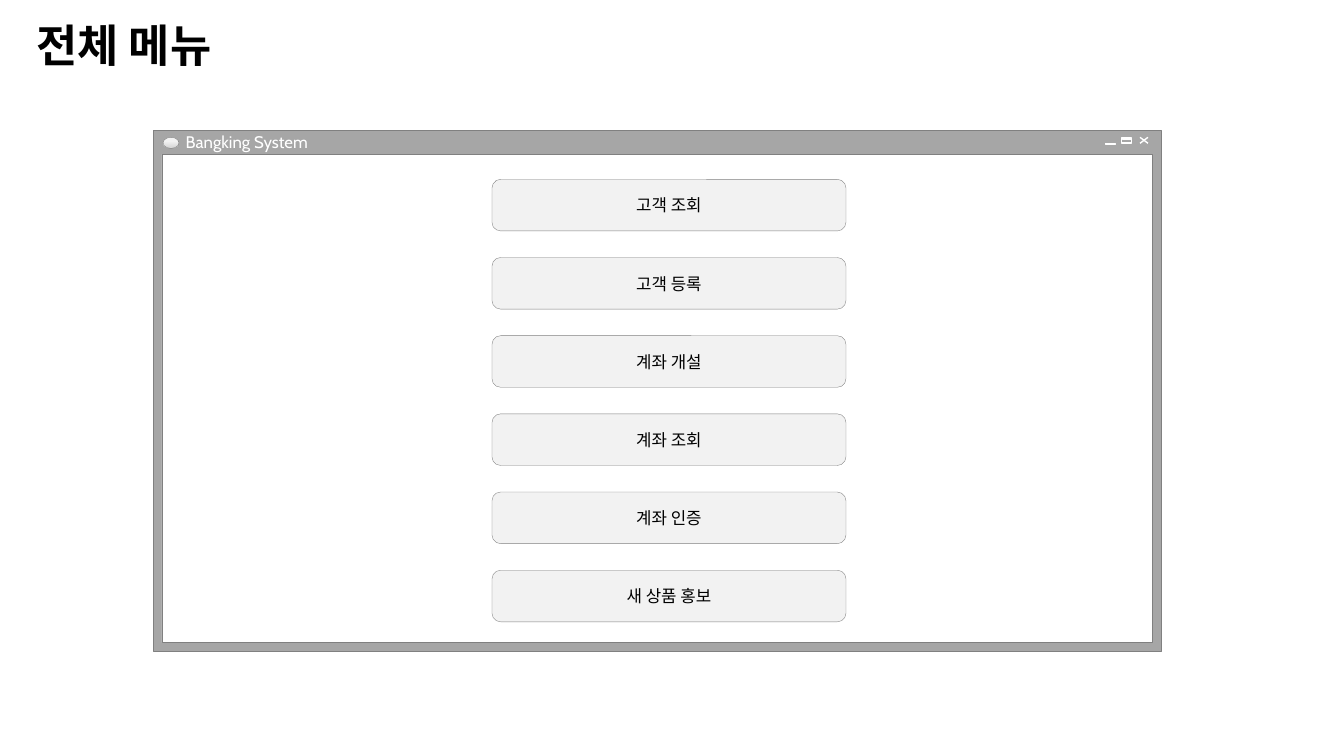
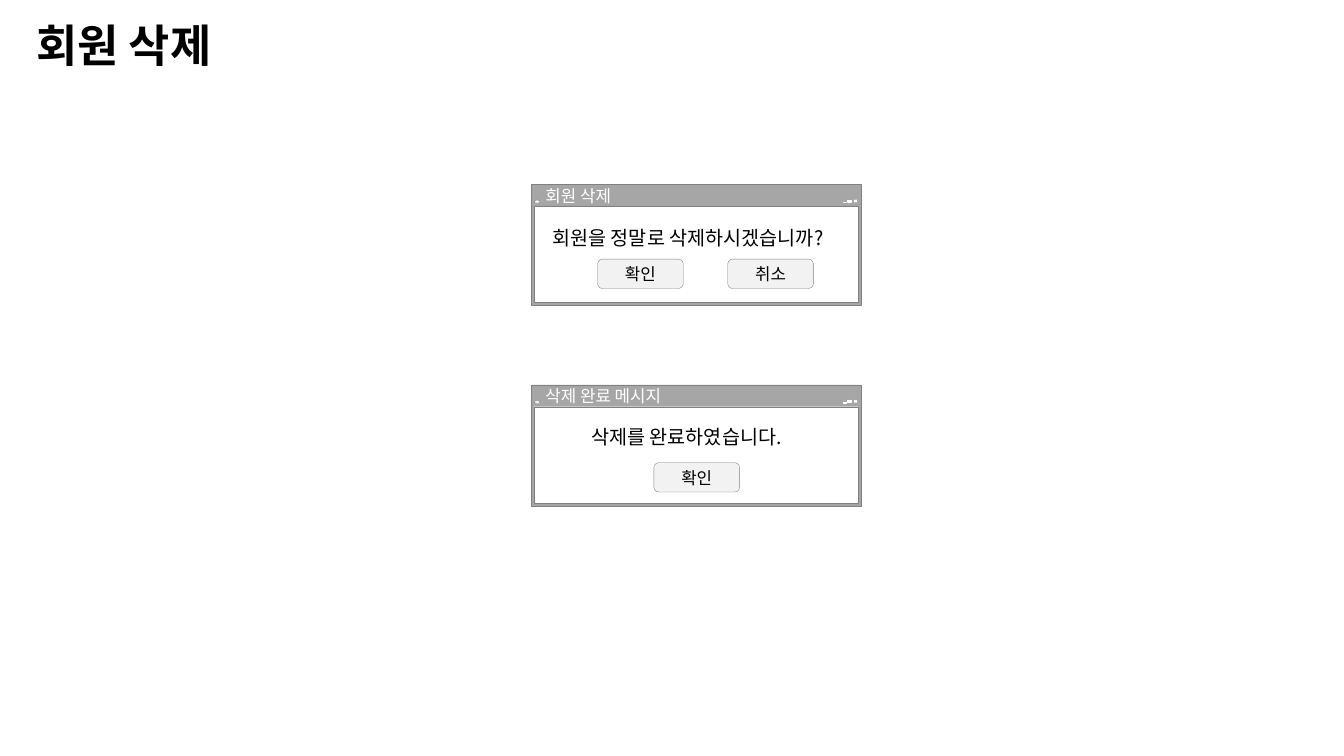
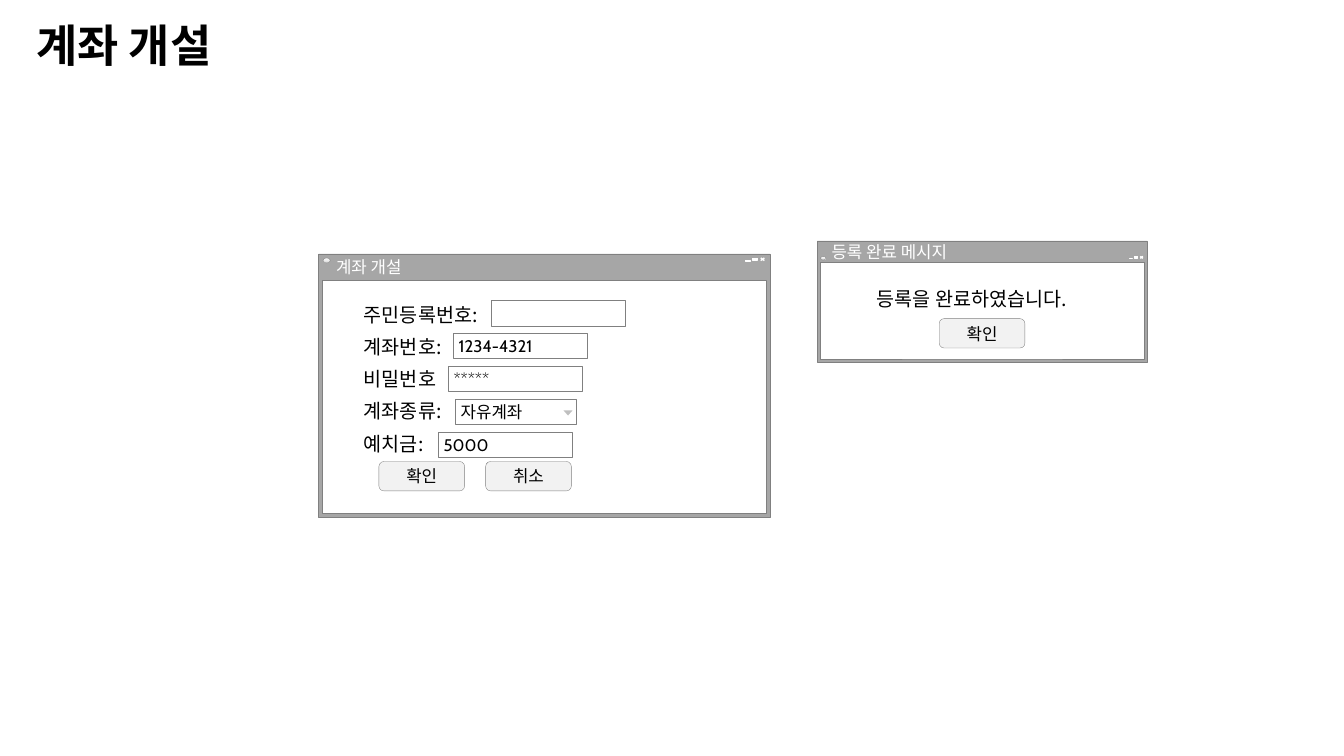
from lxml.etree import SubElement
from pptx import Presentation
from pptx.dml.color import RGBColor
from pptx.enum.shapes import MSO_CONNECTOR, MSO_SHAPE as SHAPE
from pptx.enum.text import MSO_ANCHOR as ANCHOR, MSO_AUTO_SIZE, PP_ALIGN as ALIGN
from pptx.oxml.ns import qn
from pptx.util import Cm, Pt

rgb = RGBColor.from_string
HANGUL, LATIN = "Noto Sans CJK KR", "Cabin"
BLACK, WHITE = "000000", "FFFFFF"
FRAME, OUTLINE, PALE, SHADE = "A6A6A6", "808080", "F2F2F2", "D9D9D9"
MAIN_WIDTH = 25.4
DIALOG = (8.31, 3.05, 0.55, 0.39)  # width, height, bar height, icon offset


def add_box(page, kind, place, fill=None, line=None, weight=0.25, text="",
            size=12, font=LATIN, color=BLACK, align=ALIGN.LEFT, inset=0.13):
    """Add a preset shape, or a text box if kind is None; place is in cm."""
    place = [Cm(length) for length in place]
    if kind is None:
        box = page.shapes.add_textbox(*place)
    else:
        box = page.shapes.add_shape(kind, *place)
        box.shadow.inherit = False
        if fill:
            box.fill.solid()
            box.fill.fore_color.rgb = rgb(fill)
        else:
            box.fill.background()
        if line:
            box.line.color.rgb = rgb(line)
            box.line.width = Pt(weight)
        else:
            box.line.fill.background()
    if text:
        frame = box.text_frame
        frame.text = text
        frame.word_wrap = True
        frame.vertical_anchor = ANCHOR.MIDDLE
        frame.margin_left = frame.margin_right = Cm(inset)
        frame.margin_top = frame.margin_bottom = 0
        para = frame.paragraphs[0]
        para.alignment = align
        span = para.runs[0]
        span.font.size = Pt(size)
        span.font.name = font
        span.font.color.rgb = rgb(color)
        SubElement(span.font._element, qn("a:ea"), typeface=HANGUL)
    return box


def add_window(page, caption, left, top, width, height, bar, icon_offset):
    """Draw a window whose icons and borders scale with its width."""
    scale = width / MAIN_WIDTH
    right, icon_top = left + width, top + icon_offset
    border = 0.22 * scale
    add_box(page, SHAPE.RECTANGLE, (left, top, width, height), FRAME, OUTLINE)
    add_box(page, SHAPE.RECTANGLE,
            (left + border, top + bar, width - 2 * border, height - bar - border),
            WHITE, OUTLINE)
    add_box(page, None, (left + 0.69 * scale, top, width / 2, bar),
            text=caption, color=WHITE)

    # Close, maximise and minimise
    close_left, close_right = right - 0.53 * scale, right - 0.33 * scale
    close_bottom = icon_top + 0.15 * scale
    for start, end in ((icon_top, close_bottom), (close_bottom, icon_top)):
        stroke = page.shapes.add_connector(
            MSO_CONNECTOR.STRAIGHT,
            Cm(close_left), Cm(start), Cm(close_right), Cm(end))
        stroke.line.color.rgb = rgb(WHITE)
        stroke.line.width = Pt(1)
        SubElement(stroke._element.spPr, qn("a:effectLst"))
    for offset, drop, thick, fill, weight in (
            (0.99, 0.02, 0.03, "919191", 0.25),
            (0.99, 0.02, 0.13, None, 1),
            (1.4, 0.15, 0.03, "919191", 0.25)):
        add_box(page, SHAPE.RECTANGLE,
                (right - offset * scale, icon_top + drop * scale,
                 0.25 * scale, thick * scale), fill, WHITE, weight)

    icon = add_box(page, SHAPE.OVAL,
                   (left + 0.25 * scale, icon_top, 0.4 * scale, 0.28 * scale),
                   PALE, OUTLINE)
    icon.fill.gradient()
    icon.fill.gradient_angle = 270
    for stop, position, color in zip(icon.fill.gradient_stops, (0.36, 0.91), (PALE, SHADE)):
        stop.position = position
        stop.color.rgb = rgb(color)


deck = Presentation()
deck.slide_width, deck.slide_height = Cm(33.87), Cm(19.05)

# Windows: caption, left, top, width, height, bar height, icon offset
# Messages: text, left, top; buttons: text, left, top, width, height
screens = [
    {"title": "전체 메뉴",
     "windows": [("Bangking System", 3.86, 3.28, MAIN_WIDTH, 13.13, 0.61, 0.18)],
     "messages": [],
     "buttons": [(name, 12.4, 4.52 + 1.97 * row, 8.92, 1.3) for row, name in enumerate(
         ("고객 조회", "고객 등록", "계좌 개설", "계좌 조회", "계좌 인증", "새 상품 홍보"))]},
    {"title": "회원 삭제",
     "windows": [("회원 삭제", 13.39, 4.65, *DIALOG),
                 ("삭제 완료 메시지", 13.39, 9.7, *DIALOG)],
     "messages": [("회원을 정말로 삭제하시겠습니까?", 13.67, 5.57),
                  ("삭제를 완료하였습니다.", 14.65, 10.58)],
     "buttons": [("확인", 15.06, 6.53, 2.16, 0.74),
                 ("취소", 18.34, 6.53, 2.16, 0.74),
                 ("확인", 16.48, 11.66, 2.16, 0.74)]},
    {"title": "계좌 개설",
     "windows": [("계좌 개설", 8.03, 6.4, 11.38, 6.63, 0.66, 0.1),
                 ("등록 완료 메시지", 20.6, 6.07, *DIALOG)],
     "messages": [("등록을 완료하였습니다.", 21.84, 7.1)],
     "buttons": [("확인", 9.55, 11.63, 2.16, 0.74),
                 ("취소", 12.24, 11.63, 2.16, 0.74),
                 ("확인", 23.67, 8.03, 2.16, 0.74)]},
]

for screen in screens:
    page = deck.slides.add_slide(deck.slide_layouts[5])
    title = page.shapes.title
    title.left, title.top, title.width, title.height = Cm(0.66), Cm(0.31), Cm(10), Cm(1.63)
    frame = title.text_frame
    frame.text = screen["title"]
    frame.auto_size = MSO_AUTO_SIZE.NONE
    frame.vertical_anchor = ANCHOR.MIDDLE
    frame.paragraphs[0].alignment = ALIGN.LEFT
    font = frame.paragraphs[0].runs[0].font
    font.size, font.bold, font.name = Pt(32), True, HANGUL
    font.color.rgb = rgb(BLACK)
    SubElement(font._element, qn("a:ea"), typeface=HANGUL)

    for window in screen["windows"]:
        add_window(page, *window)
    for text, left, top in screen["messages"]:
        add_box(page, None, (left, top, 8.2, 0.86), text=text, size=14,
                font=HANGUL, inset=0.25)
    for text, *place in screen["buttons"]:
        add_box(page, SHAPE.ROUNDED_RECTANGLE, place, PALE, OUTLINE,
                text=text, align=ALIGN.CENTER)

# Account form on the last page: label, field left, field width, value
form = [
    ("주민등록번호:", 12.37, 3.38, ""),
    ("계좌번호:", 11.43, 3.38, "1234-4321"),
    ("비밀번호", 11.3, 3.38, "*****"),
    ("계좌종류:", 11.48, 3.05, "자유계좌"),
    ("예치금:", 11.05, 3.38, "5000"),
]
for row, (label, left, width, value) in enumerate(form):
    add_box(page, None, (8.92, 7.5 + 0.81 * row, 4, 0.86), text=label,
            size=14, font=HANGUL, inset=0.25)
    add_box(page, SHAPE.RECTANGLE, (left, 7.57 + 0.83 * row, width, 0.64),
            WHITE, OUTLINE, text=value)
arrow = add_box(page, SHAPE.ISOSCELES_TRIANGLE, (14.2, 10.34, 0.23, 0.13), "BFBFBF")
arrow.rotation = 180

deck.save("out.pptx")
